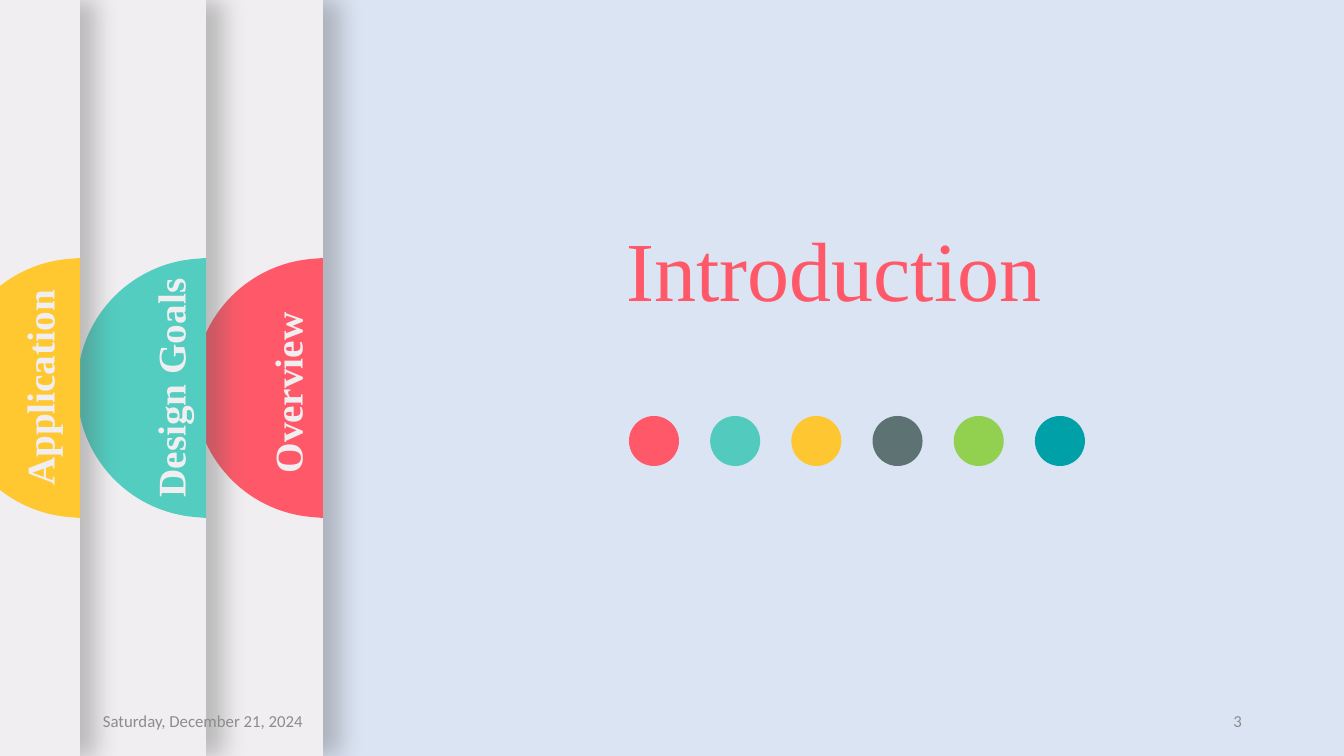
from lxml import etree
from pptx import Presentation, util as u
from pptx.dml.color import RGBColor
from pptx.enum import shapes, text
from pptx.oxml.ns import qn

PX = 914400 / 100.8
WIDE, HIGH = 1344, 756
SKY = RGBColor(0xDB, 0xE4, 0xF3)
PAPER = RGBColor(0xF0, 0xEE, 0xF0)
GRAY = RGBColor(0x8C, 0x8C, 0x8C)
SHADE = RGBColor(0x59, 0x59, 0x59)
CORAL = RGBColor(0xFF, 0x59, 0x69)
TEAL = RGBColor(0x52, 0xCB, 0xBE)
MINT = RGBColor(0x52, 0xCD, 0xC0)
GOLD = RGBColor(0xFE, 0xC6, 0x30)
AMBER = RGBColor(0xFF, 0xC7, 0x30)
SLATE = RGBColor(0x5D, 0x73, 0x73)
LIME = RGBColor(0x92, 0xD0, 0x50)
OCEAN = RGBColor(0x00, 0xA0, 0xA8)
SERIF, SANS = "Times New Roman", "Calibri"
LEFT, MID, RIGHT = text.PP_ALIGN.LEFT, text.PP_ALIGN.CENTER, text.PP_ALIGN.RIGHT
TOP, CENTER = text.MSO_ANCHOR.TOP, text.MSO_ANCHOR.MIDDLE


def px(*sizes):
    return [u.Emu(round(size * PX)) for size in sizes]


def write(shape, words, size, color, font=SERIF, align=MID, anchor=TOP, bold=False):
    frame = shape.text_frame
    frame.word_wrap = True
    frame.auto_size = text.MSO_AUTO_SIZE.NONE
    frame.vertical_anchor = anchor
    line = frame.paragraphs[0]
    line.alignment = align
    run = line.add_run()
    run.text = words
    run.font.name, run.font.size, run.font.bold = font, u.Pt(size), bold
    run.font.color.rgb = color


def paint(shape, color):
    shape.shadow.inherit = False
    shape.fill.solid()
    shape.fill.fore_color.rgb = color
    shape.line.fill.background()
    return shape


def cast(shape):
    glow = shape._element.spPr.find(qn("a:effectLst"))
    outer = etree.SubElement(glow, qn("a:outerShdw"), blurRad=str(u.Pt(17)),
                             dist=str(u.Pt(3)), dir="0", sx="101000",
                             algn="l", rotWithShape="0")
    tone = etree.SubElement(outer, qn("a:srgbClr"), val=str(SHADE))
    etree.SubElement(tone, qn("a:alpha"), val="35000")


def bend(shape, first):
    lines = list(shape._element.iter(qn("a:lnTo")))[first:]
    for i in range(0, len(lines), 3):
        curve = etree.Element(qn("a:cubicBezTo"))
        lines[i].addprevious(curve)
        for line in lines[i:i + 3]:
            curve.append(line[0])
            line.getparent().remove(line)


def half(parts, edge, mid, color):
    radius, flat, pull = 130, 12, 68
    curve = [(78, 123), (129, pull), (129, 0), (129, -pull), (78, -123), (flat, 1 - radius)]
    points = [(0, radius), (flat, radius - 1)] + curve
    tab = parts.build_freeform(*px(edge, mid - radius))
    tab.add_line_segments([px(edge - x, mid + y) for x, y in points], close=True)
    shape = paint(tab.convert_to_shape(), color)
    bend(shape, 2)


def panel(slide, left, edge, color, words, length, inset):
    parts = slide.shapes.add_group_shape().shapes
    sheet = parts.add_shape(shapes.MSO_SHAPE.RECTANGLE, *px(left, 0, edge - left, HIGH))
    cast(paint(sheet, PAPER))
    mid, thick = 388, 57
    half(parts, edge, mid, color)
    label = parts.add_textbox(*px(edge - inset - length / 2, mid - thick / 2, length, thick))
    label.rotation = 270
    write(label, words, 28, PAPER, bold=True)


def dots(slide, left, top, width, size, colors):
    group = slide.shapes.add_group_shape().shapes
    step = (width - size) / (len(colors) - 1)
    for i, color in enumerate(colors):
        dot = group.add_shape(shapes.MSO_SHAPE.OVAL, *px(left + i * step, top, size, size))
        paint(dot, color)


def title(slide, left, top, width, height, words):
    head = slide.shapes.title
    head.left, head.top, head.width, head.height = px(left, top, width, height)
    write(head, words, 60, CORAL)


def footer(slide, left, top, width, height, date, page):
    span = 302
    for start, words, align in ((left, date, LEFT), (left + width - span, page, RIGHT)):
        box = slide.shapes.add_textbox(*px(start, top, span, height))
        write(box, words, 12, GRAY, font=SANS, align=align, anchor=CENTER)


def main():
    deck = Presentation()
    deck.slide_width, deck.slide_height = px(WIDE, HIGH)
    slide = deck.slides.add_slide(deck.slide_layouts[5])
    slide.background.fill.solid()
    slide.background.fill.fore_color.rgb = SKY
    title(slide, 433, 212, 802, 112, "Introduction")
    dots(slide, 629, 416, 456, 50, (CORAL, TEAL, GOLD, SLATE, LIME, OCEAN))
    panel(slide, -1052, 323, CORAL, "Overview ", 220, 36)
    panel(slide, -1055, 206, MINT, "Design Goals ", 242, 36)
    panel(slide, -1018, 80, AMBER, "Application", 283, 41)
    footer(slide, 93, 701, 1159, 40, "Saturday, December 21, 2024", "3")
    deck.save("out.pptx")


if __name__ == "__main__":
    main()
